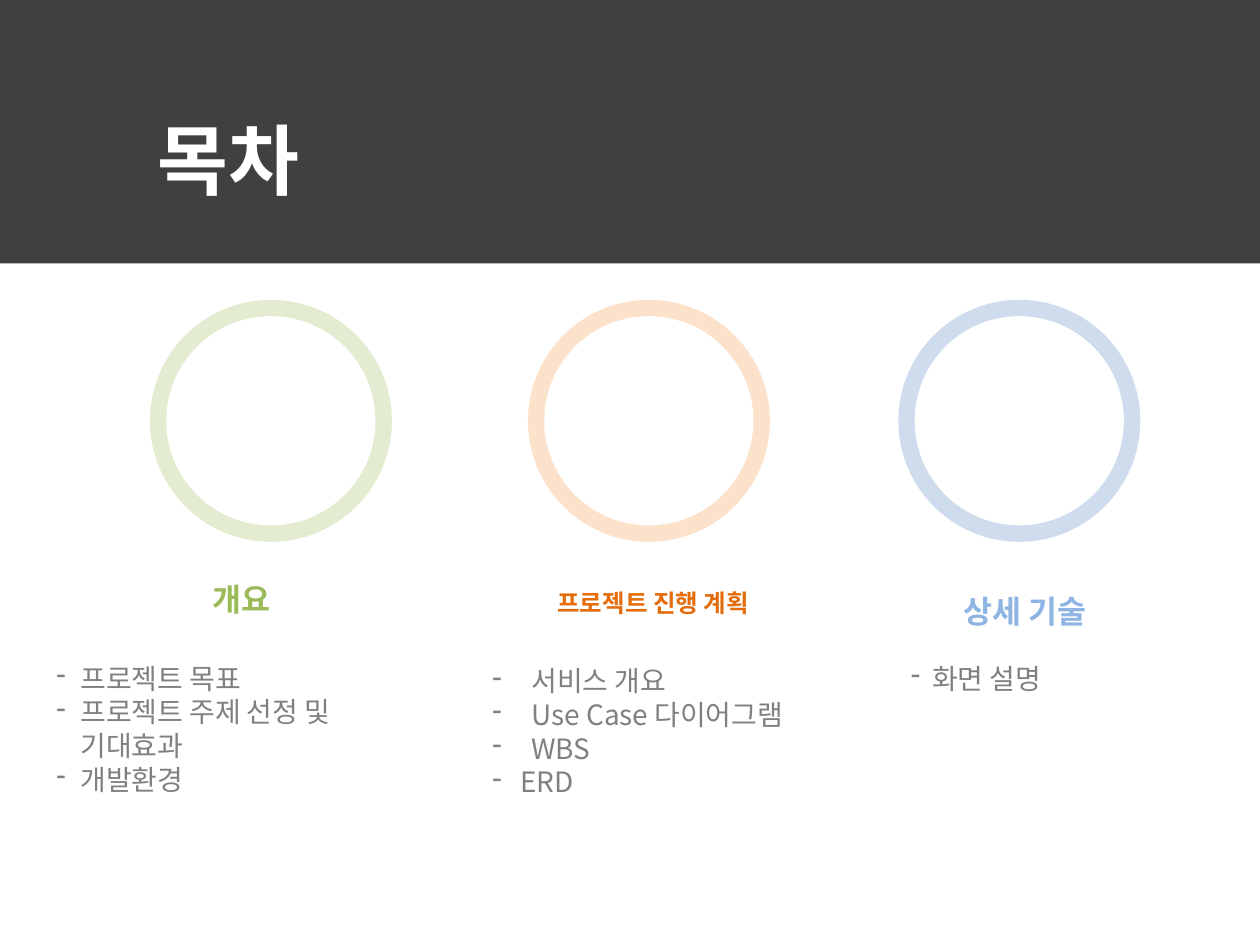
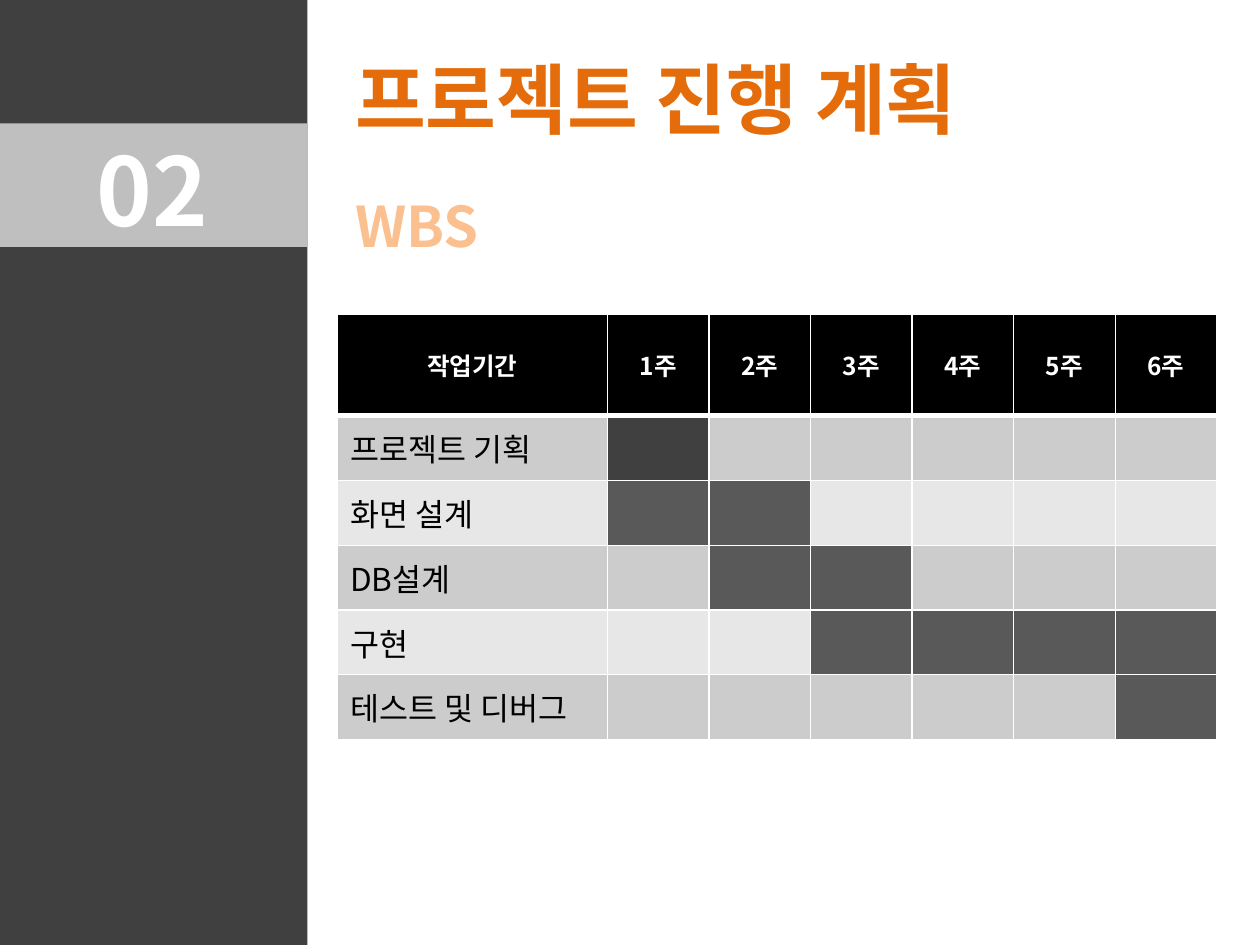
from dataclasses import dataclass

from lxml.etree import SubElement
from pptx import Presentation
from pptx.dml.color import RGBColor
from pptx.enum.shapes import MSO_SHAPE as Shape
from pptx.enum.text import MSO_ANCHOR as Anchor, PP_ALIGN as Align
from pptx.oxml.ns import qn
from pptx.util import Inches, Pt


@dataclass(frozen=True)
class Theme:
    font: str = "Noto Sans CJK KR"
    white: str = "FFFFFF"
    black: str = "000000"
    band: str = "404040"
    number_band: str = "BFBFBF"
    body: str = "808080"
    green: str = "9BBB59"
    green_ring: str = "D7E4BD"
    orange: str = "E46C0A"
    orange_ring: str = "FCD5B5"
    orange_light: str = "FAC090"
    blue: str = "8EB4E3"
    blue_ring: str = "B9CDE5"
    row_fills: tuple = ("CCCCCC", "E7E7E7")
    busy: str = "595959"
    ring_alpha: int = 69
    number_size: int = 54
    title_size: int = 44
    subtitle_size: int = 32
    heading_size: int = 18
    small_heading_size: int = 14
    list_size: int = 16


THEME = Theme()

# Ring left, ring colour, heading (text, colour, size, box),
# list box, list items as (text, hanging indent)
TOPICS = [
    (1.19, THEME.green_ring,
     ("개요", THEME.green, THEME.heading_size, (1.15, 4.55, 1.53, 0.51)),
     (0.35, 5.2, 3.13, 1.18),
     [("프로젝트 목표", 0.19), ("프로젝트 주제 선정 및\v기대효과", 0.19),
      ("개발환경", 0.19)]),
    (4.19, THEME.orange_ring,
     ("프로젝트 진행 계획", THEME.orange, THEME.small_heading_size,
      (4.19, 4.62, 1.99, 0.4)),
     (3.81, 5.22, 2.76, 1.18),
     [("서비스 개요", 0.31), ("Use Case 다이어그램", 0.31), ("WBS", 0.31),
      ("ERD", 0.22)]),
    (7.13, THEME.blue_ring,
     ("상세 기술", THEME.blue, THEME.heading_size, (7.36, 4.65, 1.55, 0.4)),
     (7.13, 5.2, 1.99, 0.37),
     [("화면 설명", 0.17)]),
]

WEEKS = 6
# Task, first week, last week, bar colour
TASKS = [
    ("프로젝트 기획", 1, 1, THEME.band),
    ("화면 설계", 1, 2, THEME.busy),
    ("DB설계", 2, 3, THEME.busy),
    ("구현", 3, 6, THEME.busy),
    ("테스트 및 디버그", 6, 6, THEME.busy),
]


def inches(box):
    return [Inches(length) for length in box]


def paint(target, color):
    target.fill.solid()
    target.fill.fore_color.rgb = RGBColor.from_string(color)


def style(paragraph, size, color, bold=False, align=Align.LEFT):
    """Set the font for Latin and Korean text alike."""
    paragraph.alignment = align
    font = paragraph.font
    font.size, font.bold, font.name = Pt(size), bold, THEME.font
    font.color.rgb = RGBColor.from_string(color)
    defaults = paragraph._p.pPr.find(qn("a:defRPr"))
    SubElement(defaults, qn("a:ea"), typeface=THEME.font)


def add_solid(slide, kind, box, color, alpha=None):
    solid = slide.shapes.add_shape(kind, *inches(box))
    solid.shadow.inherit = False
    solid.line.fill.background()
    paint(solid, color)
    if alpha is not None:
        tint = solid._element.spPr.find(qn("a:solidFill"))[0]
        SubElement(tint, qn("a:alpha"), val=str(alpha * 1000))


def add_text_frame(slide, box):
    frame = slide.shapes.add_textbox(*inches(box)).text_frame
    frame.word_wrap = True
    return frame


def add_line_of_text(slide, box, text, size, color, align=Align.LEFT):
    paragraph = add_text_frame(slide, box).paragraphs[0]
    paragraph.text = text
    style(paragraph, size, color, bold=True, align=align)


def add_dash_list(slide, box, items):
    frame = add_text_frame(slide, box)
    for index, (text, indent) in enumerate(items):
        paragraph = frame.add_paragraph() if index else frame.paragraphs[0]
        paragraph.text = text
        props = paragraph._p.get_or_add_pPr()
        props.set("marL", str(Inches(indent)))
        props.set("indent", str(-Inches(indent)))
        SubElement(props, qn("a:buChar"), char="-")
        style(paragraph, THEME.list_size, THEME.body)


def add_ring(slide, left, top, color, size=1.92, thickness=0.13):
    hole = size - 2 * thickness
    add_solid(slide, Shape.OVAL, (left, top, size, size), color,
              THEME.ring_alpha)
    add_solid(slide, Shape.OVAL,
              (left + thickness, top + thickness, hole, hole), THEME.white)


def add_topic(slide, ring_left, ring_color, heading, list_box, items):
    add_ring(slide, ring_left, 2.38, ring_color)
    text, color, size, box = heading
    add_line_of_text(slide, box, text, size, color, Align.CENTER)
    add_dash_list(slide, list_box, items)


def add_section_sidebar(slide, box, number):
    left, top, width, height = box
    add_solid(slide, Shape.RECTANGLE, (left, top, width, height), THEME.band)
    add_solid(slide, Shape.RECTANGLE, (left, top + 0.98, width, 0.98),
              THEME.number_band)
    add_line_of_text(slide, (left + 0.67, top + 1, 1.26, 1.01), number,
                     THEME.number_size, THEME.white)


def set_borders(cell, top=1, bottom=1):
    props = cell._tc.get_or_add_tcPr()
    for side, points in (("L", 1), ("R", 1), ("T", top), ("B", bottom)):
        line = SubElement(props, qn(f"a:ln{side}"), w=str(Pt(points)))
        fill = SubElement(line, qn("a:solidFill"))
        SubElement(fill, qn("a:srgbClr"), val=THEME.white)


def fill_cell(cell, background, text="", **text_style):
    paint(cell, background)
    cell.vertical_anchor = Anchor.MIDDLE
    if text:
        paragraph = cell.text_frame.paragraphs[0]
        paragraph.text = text
        style(paragraph, **text_style)


def add_schedule(slide, box):
    """Draw the week plan, with one filled cell per busy week."""
    table = slide.shapes.add_table(len(TASKS) + 1, WEEKS + 1,
                                   *inches(box)).table
    table.horz_banding = False
    task_width, header_height = 2.14, 0.81
    for index, column in enumerate(table.columns):
        column.width = Inches((box[2] - task_width) / WEEKS if index
                              else task_width)
    for index, row in enumerate(table.rows):
        row.height = Inches((box[3] - header_height) / len(TASKS) if index
                            else header_height)
        for cell in row.cells:
            set_borders(cell, top=3 if index == 1 else 1,
                        bottom=1 if index else 3)

    labels = ["작업기간"] + [f"{week}주" for week in range(1, WEEKS + 1)]
    for column, label in enumerate(labels):
        fill_cell(table.cell(0, column), THEME.black, label,
                  size=THEME.small_heading_size, color=THEME.white,
                  bold=True, align=Align.CENTER)
    for row, (task, first, last, bar) in enumerate(TASKS, start=1):
        idle = THEME.row_fills[(row - 1) % 2]
        fill_cell(table.cell(row, 0), idle, task,
                  size=THEME.heading_size, color=THEME.black)
        for week in range(1, WEEKS + 1):
            fill_cell(table.cell(row, week),
                      bar if first <= week <= last else idle)


def build_contents(slide):
    for topic in TOPICS:
        add_topic(slide, *topic)
    add_solid(slide, Shape.RECTANGLE, (0, -0.02, 10, 2.11), THEME.band)
    add_line_of_text(slide, (1.15, 0.84, 6.77, 0.84), "목차",
                     THEME.title_size, THEME.white)


def build_plan(slide):
    add_section_sidebar(slide, (0, 0, 2.44, 7.5), "02")
    add_line_of_text(slide, (2.72, 0.36, 6.77, 0.84), "프로젝트 진행 계획",
                     THEME.title_size, THEME.orange)
    add_line_of_text(slide, (2.72, 1.47, 6.77, 0.64), "WBS",
                     THEME.subtitle_size, THEME.orange_light)
    add_schedule(slide, (2.68, 2.49, 6.98, 3.38))


def main():
    deck = Presentation()
    deck.slide_width, deck.slide_height = Inches(10), Inches(7.5)
    blank = deck.slide_layouts[6]
    for build in (build_contents, build_plan):
        build(deck.slides.add_slide(blank))
    deck.save("out.pptx")


if __name__ == "__main__":
    main()
